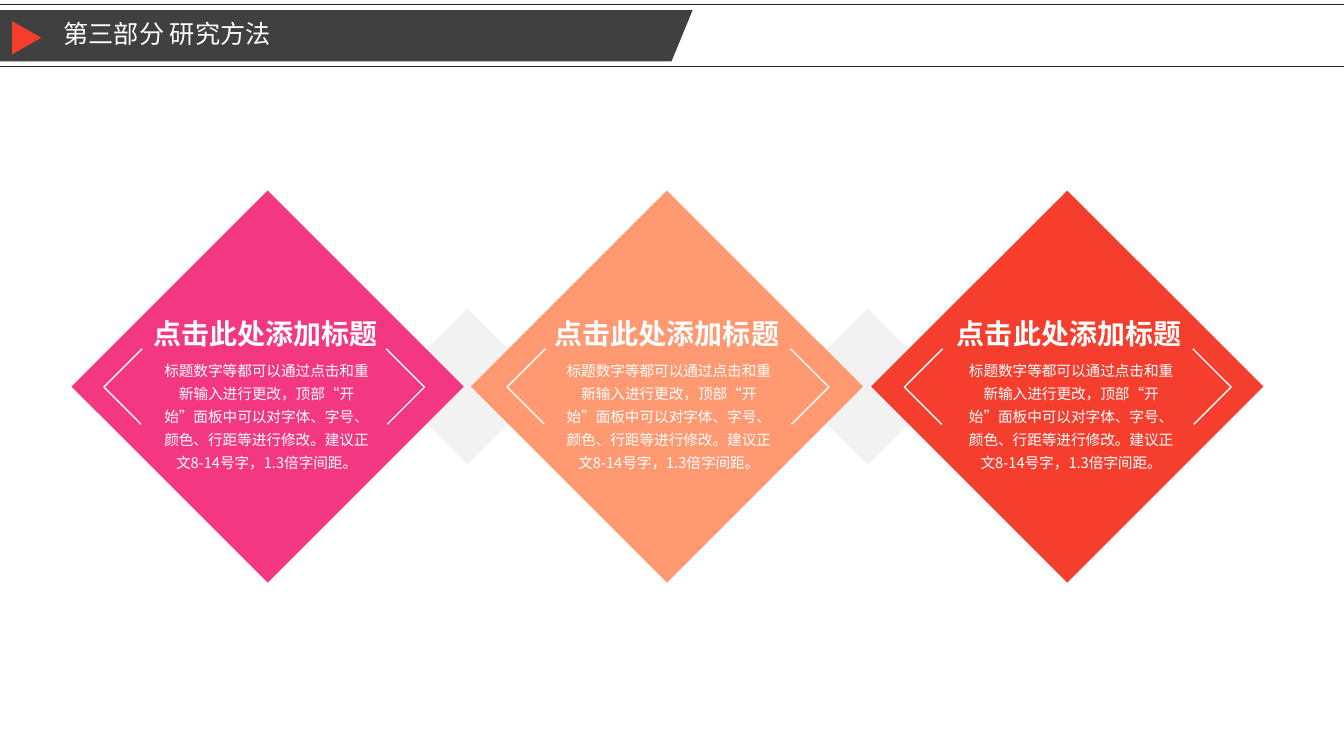
import pptx
import pptx.util
import pptx.dml.color
import pptx.enum.lang
import pptx.enum.shapes
import pptx.enum.text
import lxml.etree
from pptx.oxml.ns import qn

Inches = pptx.util.Inches
Pt = pptx.util.Pt
rgb = pptx.dml.color.RGBColor.from_string
MSO_SHAPE = pptx.enum.shapes.MSO_SHAPE
PP_ALIGN = pptx.enum.text.PP_ALIGN
MSO_ANCHOR = pptx.enum.text.MSO_ANCHOR
MSO_AUTO_SIZE = pptx.enum.text.MSO_AUTO_SIZE


def paint(sp, fill=None, line=None, width=1):
    sp.shadow.inherit = False
    if fill:
        sp.fill.solid()
        sp.fill.fore_color.rgb = rgb(fill)
    else:
        sp.fill.background()
    if line:
        sp.line.color.rgb = rgb(line)
        sp.line.width = Pt(width)
    else:
        sp.line.fill.background()


def write(sp, text, size=18, font="Roboto Condensed", color="FFFFFF", bold=False,
          align=PP_ALIGN.CENTER, anchor=MSO_ANCHOR.TOP, spacing=1.0,
          auto_size=MSO_AUTO_SIZE.SHAPE_TO_FIT_TEXT):
    tf = sp.text_frame
    tf.word_wrap = True
    tf.auto_size = auto_size
    tf.vertical_anchor = anchor
    p = tf.paragraphs[0]
    p.alignment = align
    p.line_spacing = spacing
    r = p.add_run()
    r.text = text
    r.font.size = Pt(size)
    r.font.name = font
    r.font.bold = bold
    r.font.color.rgb = rgb(color)
    r.font.language_id = pptx.enum.lang.MSO_LANGUAGE_ID.SIMPLIFIED_CHINESE
    ea = lxml.etree.SubElement(r._r.get_or_add_rPr(), qn("a:ea"))
    ea.set("typeface", "Noto Sans CJK SC")


prs = pptx.Presentation()
prs.slide_width = Inches(13.33)
prs.slide_height = Inches(7.5)
s = prs.slides.add_slide(prs.slide_layouts[5])

for y in (0.04, 0.66):
    rule = s.shapes.add_connector(pptx.enum.shapes.MSO_CONNECTOR.STRAIGHT,
                                  0, Inches(y), prs.slide_width, Inches(y))
    rule.line.color.rgb = rgb("262626")
    rule.line.width = Pt(0.5)
    lxml.etree.SubElement(rule._element.spPr, qn("a:effectLst"))

fb = s.shapes.build_freeform(0, Inches(0.1))
fb.add_line_segments([(Inches(x), Inches(y)) for x, y in
                      ((6.87, 0.1), (6.66, 0.61), (0, 0.61))])
paint(fb.convert_to_shape(), fill="404040")

marker = s.shapes.add_shape(MSO_SHAPE.ISOSCELES_TRIANGLE, Inches(0.1), Inches(0.23),
                            Inches(0.33), Inches(0.29))
marker.rotation = 90
paint(marker, fill="F53E2E")

title = s.shapes.title
title.left, title.top, title.width, title.height = map(Inches, (0.53, 0.1, 5.91, 0.51))
write(title, "第三部分 研究方法", align=PP_ALIGN.LEFT, anchor=MSO_ANCHOR.MIDDLE,
      spacing=0.9, auto_size=MSO_AUTO_SIZE.NONE)
s.shapes.element.append(title.element)

for x, y, size, color in (
    (3.86, 3.06, 1.55, "F2F2F2"),
    (0.71, 1.89, 3.89, "F43781"),
    (7.83, 3.06, 1.55, "F2F2F2"),
    (4.67, 1.89, 3.89, "FF9972"),
    (8.64, 1.89, 3.89, "F53E2E"),
):
    sp = s.shapes.add_shape(MSO_SHAPE.DIAMOND, Inches(x), Inches(y), Inches(size), Inches(size))
    paint(sp, fill=color)

body = ("标题数字等都可以通过点击和重新输入进行更改，顶部“开始”面板中可以对字体、字号、"
        "颜色、行距等进行修改。建议正文8-14号字，1.3倍字间距。")

for left_tip, right_tip, head_x, body_x in (
    (1.03, 4.21, 1.32, 1.51),
    (5.03, 8.22, 5.3, 5.5),
    (8.97, 12.21, 9.29, 9.49),
):
    for tip, inward in ((left_tip, 1), (right_tip, -1)):
        fb = s.shapes.build_freeform(Inches(tip + 0.38 * inward), Inches(3.46))
        fb.add_line_segments([(Inches(tip), Inches(3.84)),
                              (Inches(tip + 0.37 * inward), Inches(4.21))], close=False)
        paint(fb.convert_to_shape(), line="FFFFFF")
    head = s.shapes.add_textbox(Inches(head_x), Inches(3.09), Inches(2.63), Inches(0.44))
    write(head, "点击此处添加标题", size=20, bold=True)
    note = s.shapes.add_textbox(Inches(body_x), Inches(3.49), Inches(2.27), Inches(1.25))
    write(note, body, size=10.5, font="Noto Sans CJK SC", spacing=1.3)

prs.save("out.pptx")
